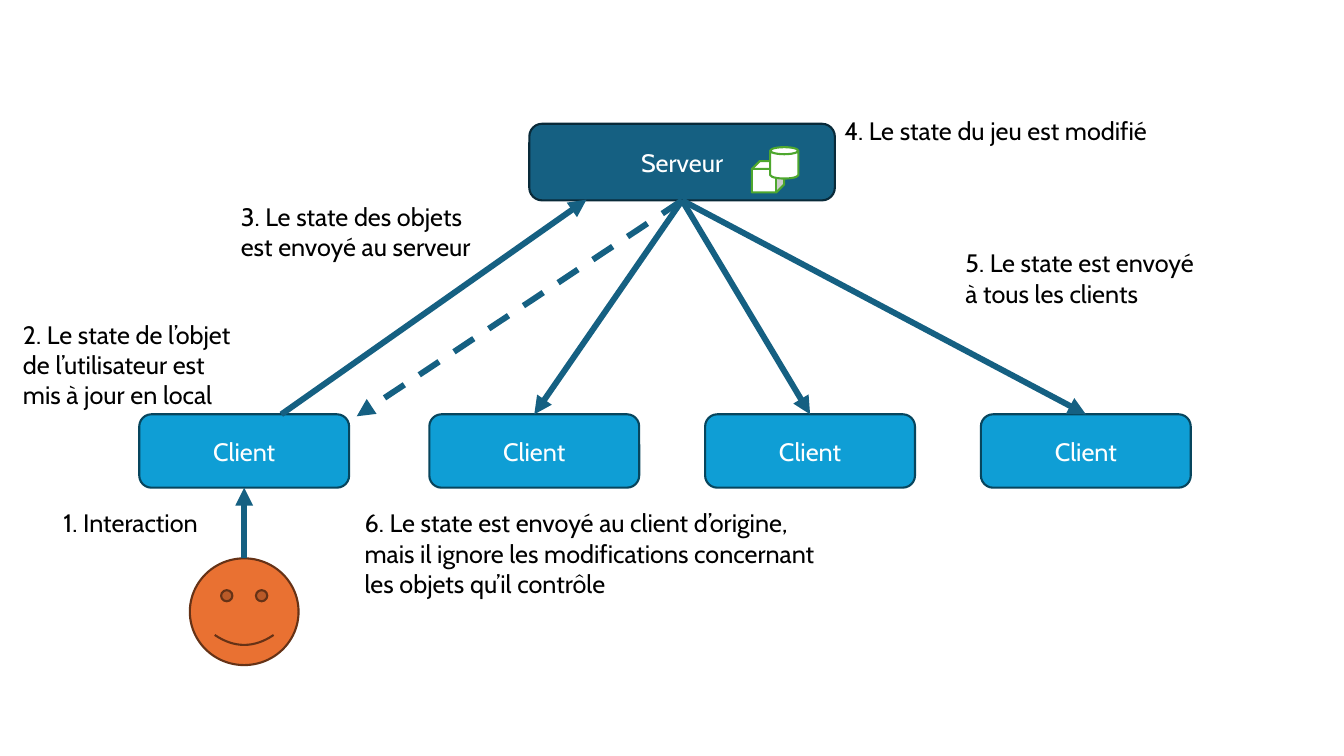
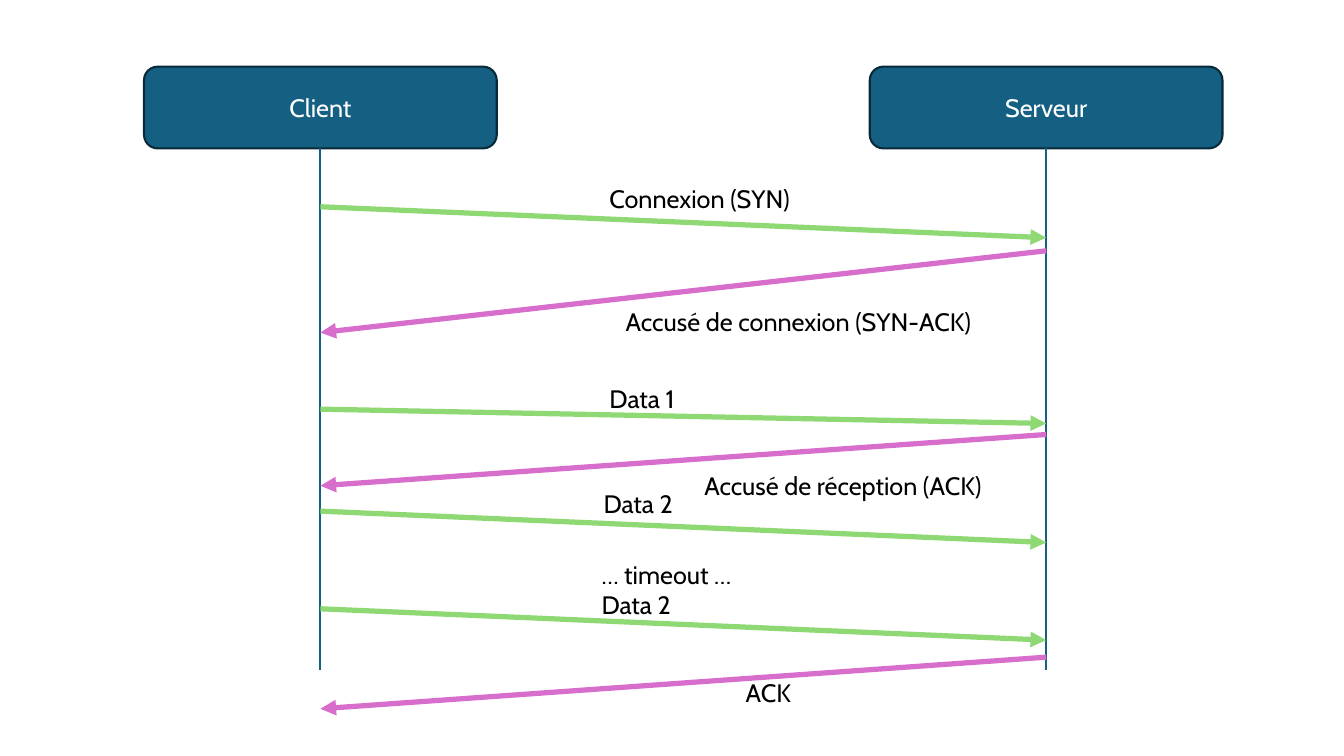
from pptx import Presentation
from pptx.dml.color import RGBColor
from pptx.enum.dml import MSO_LINE
from pptx.enum.shapes import MSO_CONNECTOR, MSO_SHAPE
from pptx.enum.text import MSO_ANCHOR, MSO_AUTO_SIZE, PP_ALIGN
from pptx.oxml.ns import qn
from pptx.util import Cm, Pt
from lxml.etree import SubElement

FONT = "Cabin"
COLORS = {
    "white": "FFFFFF", "black": "000000",
    "navy": "156082", "navy_edge": "092A39",
    "blue": "0F9ED5", "blue_edge": "07455D",
    "orange": "E97132", "orange_edge": "663216",
    "object_edge": "4EA72E", "request": "8ED973", "reply": "D86ECC",
}

SERVER = (13.34, 3.12, 7.7, 1.93)
CLIENT_SIZE = (5.29, 1.85)
CLIENT_TOP = 10.44
FIRST_CLIENT_LEFT = 3.51
OTHER_CLIENTS_LEFT = 10.82
CLIENT_PITCH = 6.95
OTHER_CLIENTS = 3
USER_TOP, USER_SIZE = 14.07, (2.74, 2.69)

STEPS = [
    ("1. Interaction", 1.35, 12.67, 4.17),
    ("2. Le state de l’objet\nde l’utilisateur est\nmis à jour en local", 0.33, 7.92, 6.15),
    ("3. Le state des objets\nest envoyé au serveur", 5.82, 4.95, 6.48),
    ("4. Le state du jeu est modifié", 21.03, 2.79, 8.38),
    ("5. Le state est envoyé\nà tous les clients", 24.08, 6.12, 6.53),
    ("6. Le state est envoyé au client d’origine,\nmais il ignore les modifications concernant\n"
     "les objets qu’il contrôle", 8.94, 12.67, 12.47),
]

ACTORS = [("Client", 3.63), ("Serveur", 21.92)]
ACTOR_TOP, ACTOR_SIZE = 1.68, (8.89, 2.06)
LIFELINE_END = 16.89
MESSAGES = [
    ("request", 5.21, 5.99, "Connexion (SYN)", 15.11, 4.5, 5.13),
    ("reply", 6.32, 8.38, "Accusé de connexion (SYN-ACK)", 15.52, 7.59, 9.45),
    ("request", 10.31, 10.67, "Data 1", 15.11, 9.53, 2.31),
    ("reply", 10.95, 12.24, "Accusé de réception (ACK)", 17.5, 11.73, 7.85),
    ("request", 12.88, 13.67, "Data 2", 14.96, 12.17, 2.31),
    ("request", 15.34, 16.13, "… timeout …\nData 2", 14.91, 13.97, 4.01),
    ("reply", 16.56, 17.86, "ACK", 18.54, 16.94, 1.68),
]


def color(name):
    return RGBColor.from_string(COLORS[name])


def style_text(frame, name, alignment):
    for para in frame.paragraphs:
        para.alignment = alignment
        for span in para.runs:
            span.font.name = FONT
            span.font.size = Pt(18)
            span.font.color.rgb = color(name)


def add_shape(page, kind, place, fill, edge, text=""):
    shape = page.shapes.add_shape(kind, *map(Cm, place))
    shape.shadow.inherit = False
    shape.fill.solid()
    shape.fill.fore_color.rgb = color(fill)
    shape.line.color.rgb = color(edge)
    shape.line.width = Pt(1.5)
    if text:
        shape.text_frame.text = text
        shape.text_frame.vertical_anchor = MSO_ANCHOR.MIDDLE
        style_text(shape.text_frame, "white", PP_ALIGN.CENTER)


def add_box(page, text, place, fill="navy"):
    add_shape(page, MSO_SHAPE.ROUNDED_RECTANGLE, place, fill, f"{fill}_edge", text)


def add_label(page, text, left, top, width):
    height = 1.02 + 0.78 * text.count("\n")
    box = page.shapes.add_textbox(Cm(left), Cm(top), Cm(width), Cm(height))
    frame = box.text_frame
    frame.word_wrap = False
    frame.auto_size = MSO_AUTO_SIZE.SHAPE_TO_FIT_TEXT
    frame.text = text
    style_text(frame, "black", PP_ALIGN.LEFT)


def add_line(page, start, end, name="navy", width=4.25, arrow=True, dashed=False):
    line = page.shapes.add_connector(MSO_CONNECTOR.STRAIGHT, *map(Cm, start + end))
    line.line.color.rgb = color(name)
    line.line.width = Pt(width)
    if dashed:
        line.line.dash_style = MSO_LINE.DASH
    properties = line.element.spPr
    if arrow:
        SubElement(properties.find(qn("a:ln")), qn("a:tailEnd"), type="triangle")
    SubElement(properties, qn("a:effectLst"))


def build_state_page(page):
    client_width, client_height = CLIENT_SIZE
    left, top, width, height = SERVER
    server_bottom = (left + width / 2, top + height)
    user_center = FIRST_CLIENT_LEFT + client_width / 2
    other_lefts = [OTHER_CLIENTS_LEFT + i * CLIENT_PITCH for i in range(OTHER_CLIENTS)]

    add_box(page, "Serveur", SERVER)
    add_shape(page, MSO_SHAPE.CUBE, (18.95, 4.06, 0.81, 0.79), "white", "object_edge")
    add_shape(page, MSO_SHAPE.CAN, (19.41, 3.71, 0.71, 0.79), "white", "object_edge")
    for client_left in [FIRST_CLIENT_LEFT] + other_lefts:
        add_box(page, "Client", (client_left, CLIENT_TOP) + CLIENT_SIZE, "blue")
    user_place = (user_center - USER_SIZE[0] / 2, USER_TOP) + USER_SIZE
    add_shape(page, MSO_SHAPE.SMILEY_FACE, user_place, "orange", "orange_edge")

    add_line(page, (user_center, USER_TOP), (user_center, CLIENT_TOP + client_height))
    add_line(page, (7.09, CLIENT_TOP), (14.78, 5.03))
    add_line(page, server_bottom, (8.99, 10.49), dashed=True)
    for client_left in other_lefts:
        add_line(page, server_bottom, (client_left + client_width / 2, CLIENT_TOP))
    for step in STEPS:
        add_label(page, *step)


def build_sequence_page(page):
    centers = [left + ACTOR_SIZE[0] / 2 for name, left in ACTORS]
    for (name, left), center in zip(ACTORS, centers):
        add_box(page, name, (left, ACTOR_TOP) + ACTOR_SIZE)
        add_line(page, (center, ACTOR_TOP + ACTOR_SIZE[1]), (center, LIFELINE_END),
                 width=1.5, arrow=False)
    for kind, start_y, end_y, *label in MESSAGES:
        start_x, end_x = centers if kind == "request" else centers[::-1]
        add_line(page, (start_x, start_y), (end_x, end_y), kind, 3.75)
        add_label(page, *label)


def main():
    deck = Presentation()
    deck.slide_width, deck.slide_height = Cm(33.87), Cm(19.05)
    for build in (build_state_page, build_sequence_page):
        build(deck.slides.add_slide(deck.slide_layouts[6]))
    deck.save("out.pptx")


if __name__ == "__main__":
    main()
